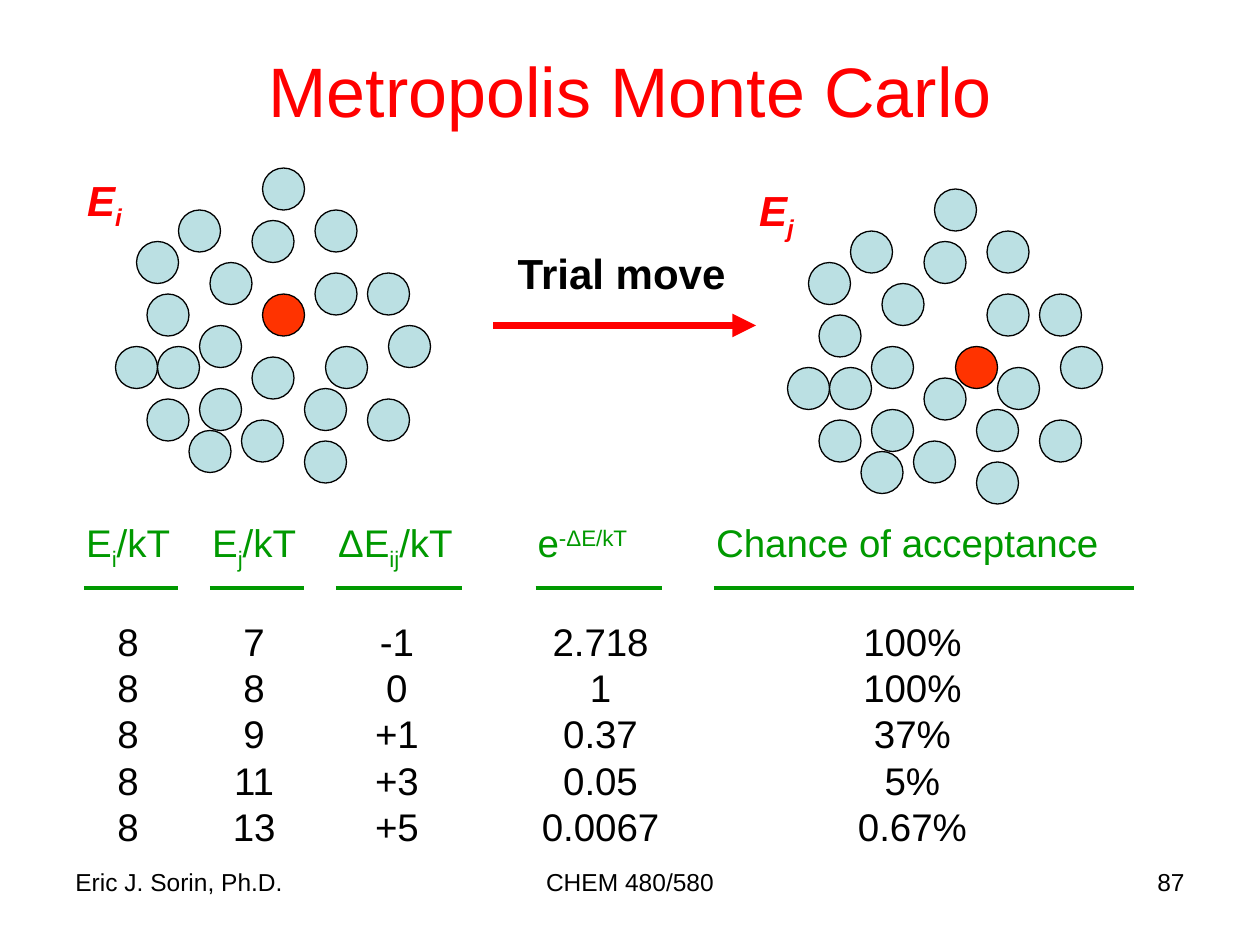
import pptx
import pptx.dml.color
import pptx.enum.shapes
import pptx.enum.text
import pptx.oxml.ns
import pptx.util
import lxml.etree

PX = 7620  # EMU, 120 px to the inch
CELL = 10  # px, spacing of the particle grid
PARTICLE_SIZE = 40
COLORS = {
    "black": "000000",
    "red": "FF0000",
    "green": "009900",
    "particle": "BBE0E3",
    "moved": "FF3300",
}
ALIGN = pptx.enum.text.PP_ALIGN
ANCHOR = pptx.enum.text.MSO_ANCHOR

# Grid cells of the particles that stay put during the trial move
PARTICLES = [
    (2, 7), (6, 4), (3, 12), (9, 9), (8, 15), (13, 5), (13, 18), (19, 4),
    (19, 10), (20, 17), (18, 21), (0, 17), (7, 25), (8, 21), (3, 22),
    (12, 24), (18, 26), (4, 17), (24, 22), (24, 10), (26, 15), (14, 0),
]

SUB, SUPER = -25, 30
# Header runs with baseline, column width, width that values are centred in, rule length
COLUMNS = [
    ([("E", 0), ("i", SUB), ("/kT", 0)], 120, 80, 90),
    ([("E", 0), ("j", SUB), ("/kT", 0)], 120, 80, 90),
    ([("ΔE", 0), ("ij", SUB), ("/kT", 0)], 190, 112, 120),
    ([("e", 0), ("-ΔE/kT", SUPER)], 170, 120, 120),
    ([("Chance of acceptance", 0)], 400, 374, 400),
]
VALUES = [
    ("8", "7", "-1", "2.718", "100%"),
    ("8", "8", "0", "1", "100%"),
    ("8", "9", "+1", "0.37", "37%"),
    ("8", "11", "+3", "0.05", "5%"),
    ("8", "13", "+5", "0.0067", "0.67%"),
]


def px(length):
    return pptx.util.Emu(length * PX)


def rgb(name):
    return pptx.dml.color.RGBColor.from_string(COLORS[name])


def write_runs(paragraph, runs, size, color, bold=False, italic=False):
    """Add (text, baseline percent) runs in one style."""
    for text, baseline in runs:
        run = paragraph.add_run()
        run.text = text
        run.font.name = "Arial"
        run.font.size = pptx.util.Pt(size)
        run.font.bold = bold
        run.font.italic = italic
        run.font.color.rgb = rgb(color)
        if baseline:
            run.font._element.set("baseline", str(baseline * 1000))


def add_label(slide, box, runs, size, color, align=ALIGN.CENTER,
              anchor=ANCHOR.TOP, wrap=True, **style):
    frame = slide.shapes.add_textbox(*map(px, box)).text_frame
    frame.word_wrap = wrap
    frame.vertical_anchor = anchor
    frame.paragraphs[0].alignment = align
    write_runs(frame.paragraphs[0], runs, size, color, **style)


def add_line(slide, left, top, length, color, width):
    line = slide.shapes.add_connector(
        pptx.enum.shapes.MSO_CONNECTOR.STRAIGHT,
        px(left), px(top), px(left + length), px(top))
    line.line.color.rgb = rgb(color)
    line.line.width = pptx.util.Pt(width)
    lxml.etree.SubElement(line._element.spPr, pptx.oxml.ns.qn("a:effectLst"))
    return line


def add_particle(slide, left, top, cell, color):
    column, row = cell
    particle = slide.shapes.add_shape(
        pptx.enum.shapes.MSO_SHAPE.OVAL,
        px(left + column * CELL), px(top + row * CELL),
        px(PARTICLE_SIZE), px(PARTICLE_SIZE))
    particle.shadow.inherit = False
    particle.fill.solid()
    particle.fill.fore_color.rgb = rgb(color)
    particle.line.color.rgb = rgb("black")
    particle.line.width = pptx.util.Pt(0.75)


def add_configuration(slide, left, top, moved_cell, index, label_offset):
    """Place one particle configuration and its energy label."""
    for cell in PARTICLES:
        add_particle(slide, left, top, cell, "particle")
    add_particle(slide, left, top, moved_cell, "moved")
    add_label(slide, (left - 40, top + label_offset, 59, 60),
              [("E", 0), (index, SUB)], 24, "red",
              wrap=False, bold=True, italic=True)


def add_trial_move(slide, left, top):
    add_label(slide, (left + 10, top, 224, 60), [("Trial move", 0)], 24,
              "black", wrap=False, bold=True)
    arrow = add_line(slide, left, top + 80, 250, "red", 4.5)
    lxml.etree.SubElement(arrow.line._get_or_add_ln(),
                          pptx.oxml.ns.qn("a:tailEnd"), type="triangle")


def fill_cell(cell, runs, color, align, top=0, right=0):
    cell.fill.background()
    cell.margin_left = cell.margin_bottom = 0
    cell.margin_top, cell.margin_right = px(top), px(right)
    paragraph = cell.text_frame.paragraphs[0]
    paragraph.alignment = align
    write_runs(paragraph, runs, 22, color)


def add_acceptance_table(slide, left, top):
    header_height, row_height = 102, 44
    width = sum(column[1] for column in COLUMNS)
    height = header_height + row_height * len(VALUES)
    table = slide.shapes.add_table(
        len(VALUES) + 1, len(COLUMNS),
        px(left), px(top), px(width), px(height)).table
    table.first_row = table.horz_banding = False
    for row in table.rows:
        row.height = px(row_height)
    table.rows[0].height = px(header_height)

    rule_left = left - 2
    for c, (header, column_width, value_width, rule) in enumerate(COLUMNS):
        table.columns[c].width = px(column_width)
        fill_cell(table.cell(0, c), header, "green", ALIGN.LEFT, top=8)
        for r, values in enumerate(VALUES, start=1):
            fill_cell(table.cell(r, c), [(values[c], 0)], "black",
                      ALIGN.CENTER, right=column_width - value_width)
        add_line(slide, rule_left, top + 70, rule, "green", 2)
        rule_left += column_width


def add_footer(slide, top):
    for left, width, text, align in [
        (60, 280, "Eric J. Sorin, Ph.D.", ALIGN.LEFT),
        (410, 380, "CHEM 480/580", ALIGN.CENTER),
        (860, 280, "87", ALIGN.RIGHT),
    ]:
        add_label(slide, (left, top, width, 62), [(text, 0)], 14, "black", align)


def main():
    deck = pptx.Presentation()
    deck.slide_width, deck.slide_height = px(1200), px(900)
    slide = deck.slides.add_slide(deck.slide_layouts[6])
    add_label(slide, (60, 10, 1080, 150), [("Metropolis Monte Carlo", 0)],
              40, "red", anchor=ANCHOR.MIDDLE)
    add_configuration(slide, 110, 160, (14, 12), "i", 0)
    add_trial_move(slide, 470, 230)
    add_configuration(slide, 750, 180, (16, 15), "j", -10)
    add_acceptance_table(slide, 82, 490)
    add_footer(slide, 820)
    deck.save("out.pptx")


if __name__ == "__main__":
    main()
